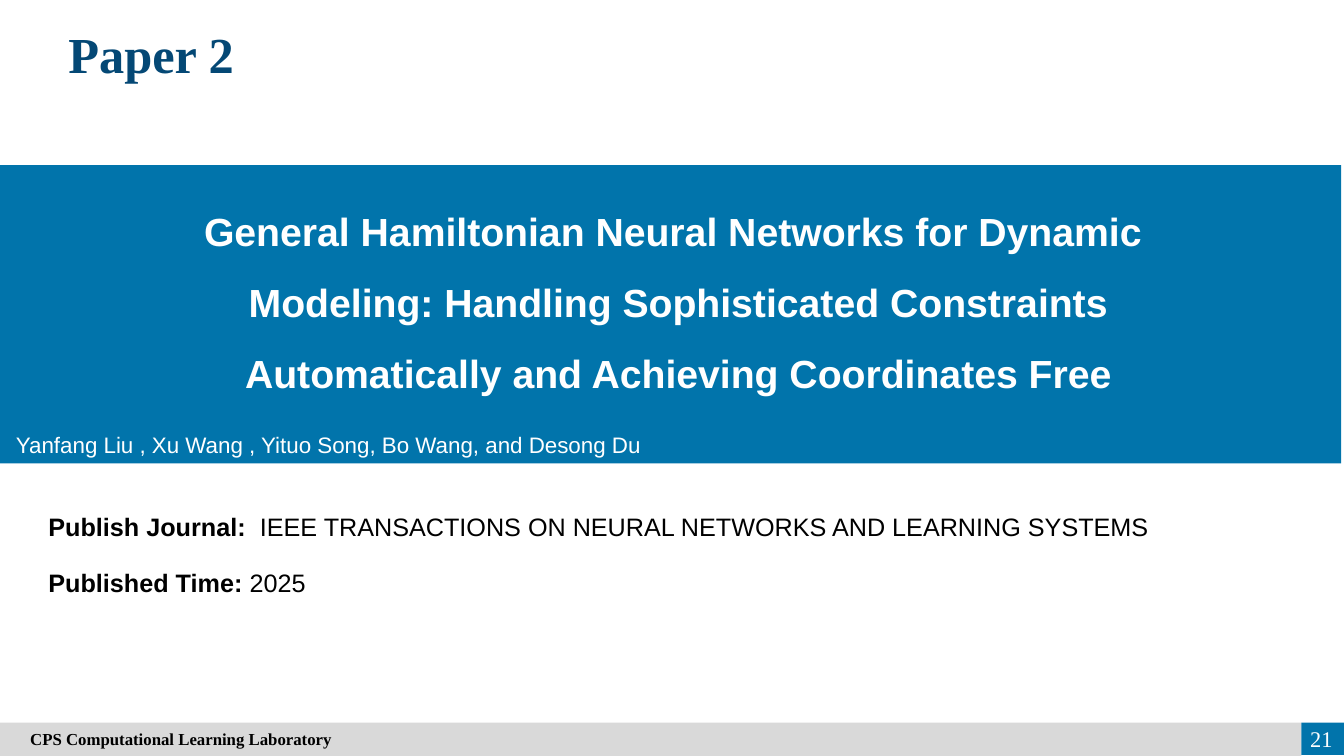
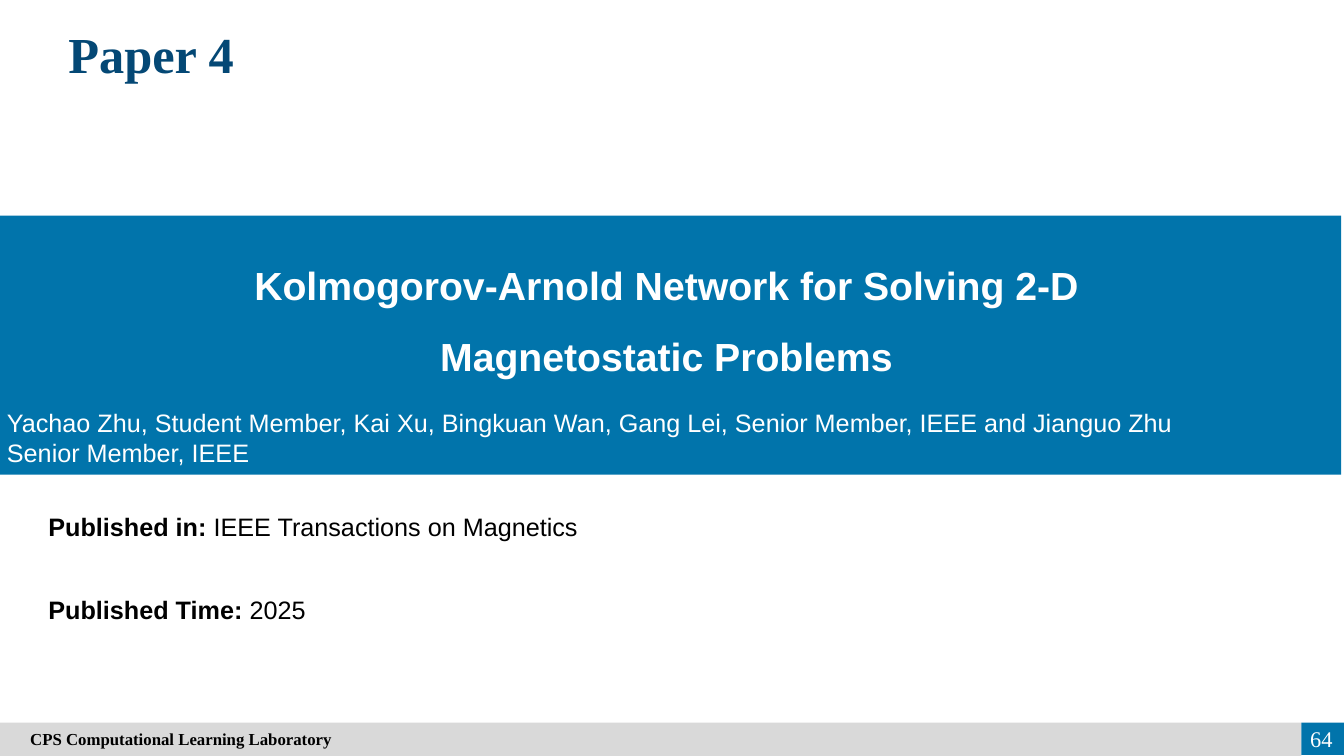
"""Build two paper-introduction slides with a shared title, band and footer."""
from pptx import Presentation
from pptx import util as u
from pptx.dml.color import RGBColor
from pptx.enum import shapes, text

BLUE, NAVY, GREY = "0174AB", "044875", "D9D9D9"
WHITE, BLACK = "FFFFFF", "000000"
SANS, SERIF = "Arial", "Times New Roman"
WIDTH, HEIGHT = 960, 540
FOOTER_TOP, NUMBER_LEFT = 516.2, 929.6


def color(value):
    """Turn a hex string into a colour."""
    return RGBColor.from_string(value)


def write(frame, content, label="", size=18, font=SANS, ink=BLACK, bold=False,
          align="LEFT", anchor="TOP", spacing=1.0, left=0, right=0, wrap=True):
    """Fill a text frame, one paragraph a line, after an optional bold label."""
    frame.word_wrap = wrap
    frame.auto_size = text.MSO_AUTO_SIZE.NONE
    frame.vertical_anchor = text.MSO_ANCHOR[anchor]
    frame.margin_left, frame.margin_right = u.Pt(left), u.Pt(right)
    frame.margin_top = frame.margin_bottom = u.Pt(3.6)
    for index, line in enumerate(content.split("\n")):
        para = frame.add_paragraph() if index else frame.paragraphs[0]
        para.alignment = text.PP_ALIGN[align]
        para.line_spacing = spacing
        parts = [(line, bold)]
        if label and not index:
            parts.insert(0, (label, True))
        for words, heavy in parts:
            span = para.add_run()
            span.text = words
            span.font.name, span.font.size = font, u.Pt(size)
            span.font.bold = heavy
            span.font.color.rgb = color(ink)


class PaperDeck:
    """Hold the deck's style and the current page."""

    def __init__(self):
        """Start an empty widescreen deck."""
        self.deck = Presentation()
        self.deck.slide_width = u.Pt(WIDTH)
        self.deck.slide_height = u.Pt(HEIGHT)
        self.page = None

    def start(self, title, number):
        """Add a page with its title and footer."""
        self.page = self.deck.slides.add_slide(self.deck.slide_layouts[5])
        box = self.page.shapes.title
        box.left, box.top = u.Pt(27), u.Pt(13)
        box.width, box.height = u.Pt(162), u.Pt(51)
        write(box.text_frame, title, size=36, font=SERIF, ink=NAVY, bold=True,
              align="CENTER")
        self.footer(number)

    def block(self, left, top, width, height, fill):
        """Draw a plain filled rectangle."""
        box = self.page.shapes.add_shape(
            shapes.MSO_SHAPE.RECTANGLE,
            u.Pt(left), u.Pt(top), u.Pt(width), u.Pt(height))
        box.shadow.inherit = False
        box.fill.solid()
        box.fill.fore_color.rgb = color(fill)
        box.line.fill.background()
        return box

    def label(self, left, top, width, height, content, **style):
        """Place a text box."""
        box = self.page.shapes.add_textbox(
            u.Pt(left), u.Pt(top), u.Pt(width), u.Pt(height))
        write(box.text_frame, content, **style)

    def footer(self, number):
        """Draw the laboratory strip and the page number."""
        strip = self.block(0, FOOTER_TOP, NUMBER_LEFT, HEIGHT - FOOTER_TOP, GREY)
        write(strip.text_frame, "CPS Computational Learning Laboratory", size=12,
              font=SERIF, bold=True, anchor="MIDDLE", left=21.6)
        square = self.block(NUMBER_LEFT, FOOTER_TOP, WIDTH - NUMBER_LEFT, 23, BLUE)
        write(square.text_frame, str(number), size=16, font=SERIF, ink=WHITE,
              align="RIGHT", anchor="MIDDLE", right=8.2, wrap=False)

    def band(self, top, height):
        """Draw the blue band behind the paper's name."""
        self.block(0, top, 958, height, BLUE)

    def heading(self, left, top, width, height, content):
        """Write the paper's name on the band."""
        self.label(left, top, width, height, content, size=28, ink=WHITE,
                   bold=True, align="CENTER", spacing=1.5)

    def authors(self, left, top, height, content, size):
        """Write the authors at the foot of the band."""
        self.label(left, top, 930, height, content, size=size, ink=WHITE)

    def facts(self, step, rows):
        """List labelled publication facts below the band."""
        for index, (name, value) in enumerate(rows):
            self.label(34.6, 362 + index * step, 890, 29, value, label=name)


def main():
    """Build and save the deck."""
    papers = PaperDeck()

    papers.start("Paper 2", 21)
    papers.band(118, 213)
    papers.heading(8, 128, 953, 160,
                   "General Hamiltonian Neural Networks for Dynamic \n"
                   "Modeling: Handling Sophisticated Constraints\n"
                   "Automatically and Achieving Coordinates Free")
    papers.authors(11.4, 304.6, 26.6,
                   "Yanfang Liu , Xu Wang , Yituo Song, Bo Wang, and Desong Du", 16)
    papers.facts(40, [
        ("Publish Journal: ",
         " IEEE TRANSACTIONS ON NEURAL NETWORKS AND LEARNING SYSTEMS"),
        ("Published Time:", " 2025")])

    papers.start("Paper 4", 64)
    papers.band(154, 185)
    papers.heading(25, 166.5, 902, 109,
                   "Kolmogorov-Arnold Network for Solving 2-D\n"
                   "Magnetostatic Problems")
    papers.authors(5, 287.5, 51,
                   "Yachao Zhu, Student Member, Kai Xu, Bingkuan Wan, Gang Lei, "
                   "Senior Member, IEEE and Jianguo Zhu\nSenior Member, IEEE", 18)
    papers.facts(59, [
        ("Published in: ", "IEEE Transactions on Magnetics"),
        ("Published Time: ", "2025")])

    papers.deck.save("out.pptx")


if __name__ == "__main__":
    main()
